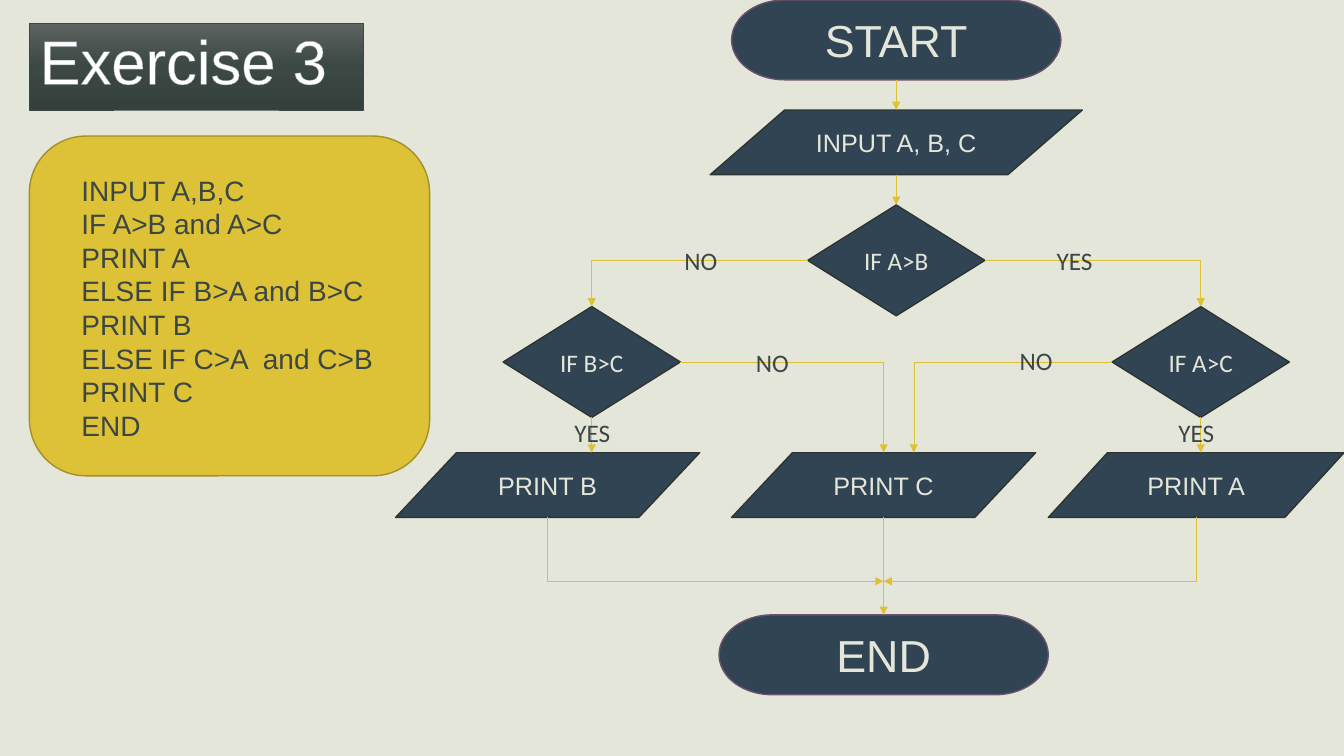
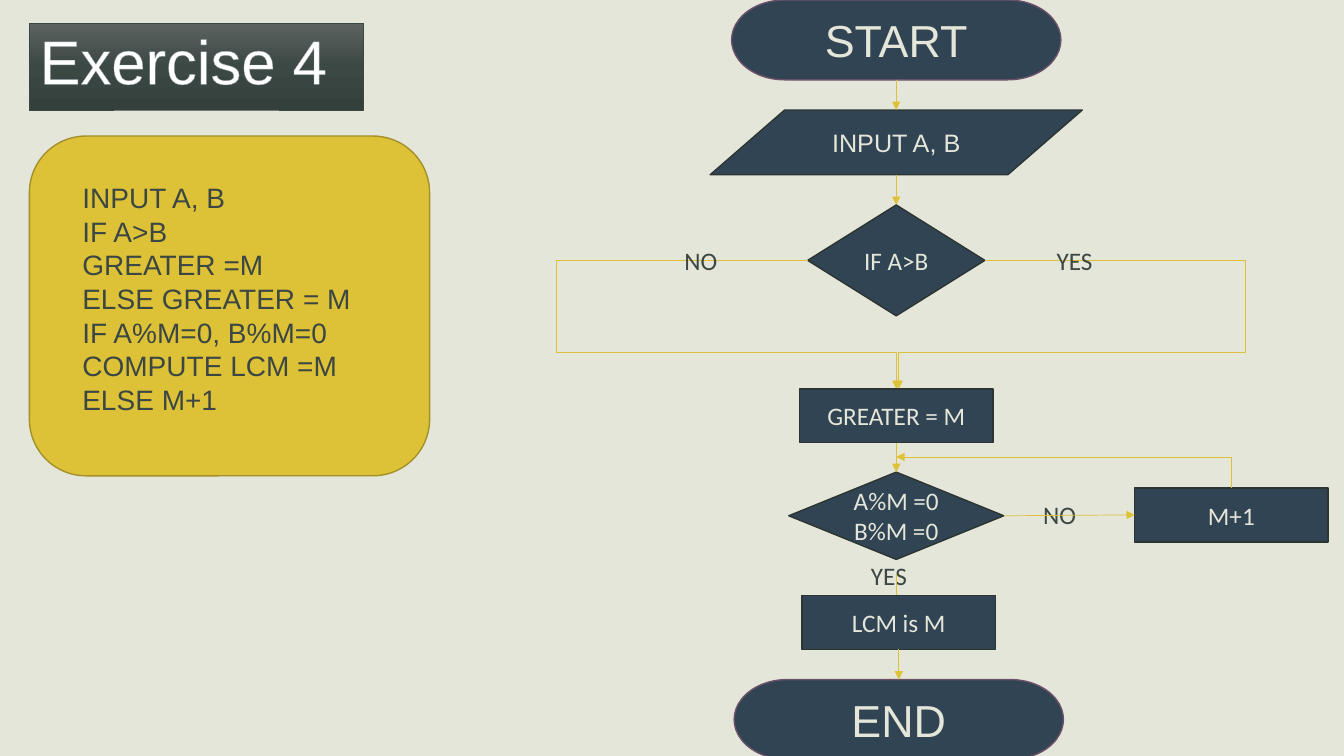
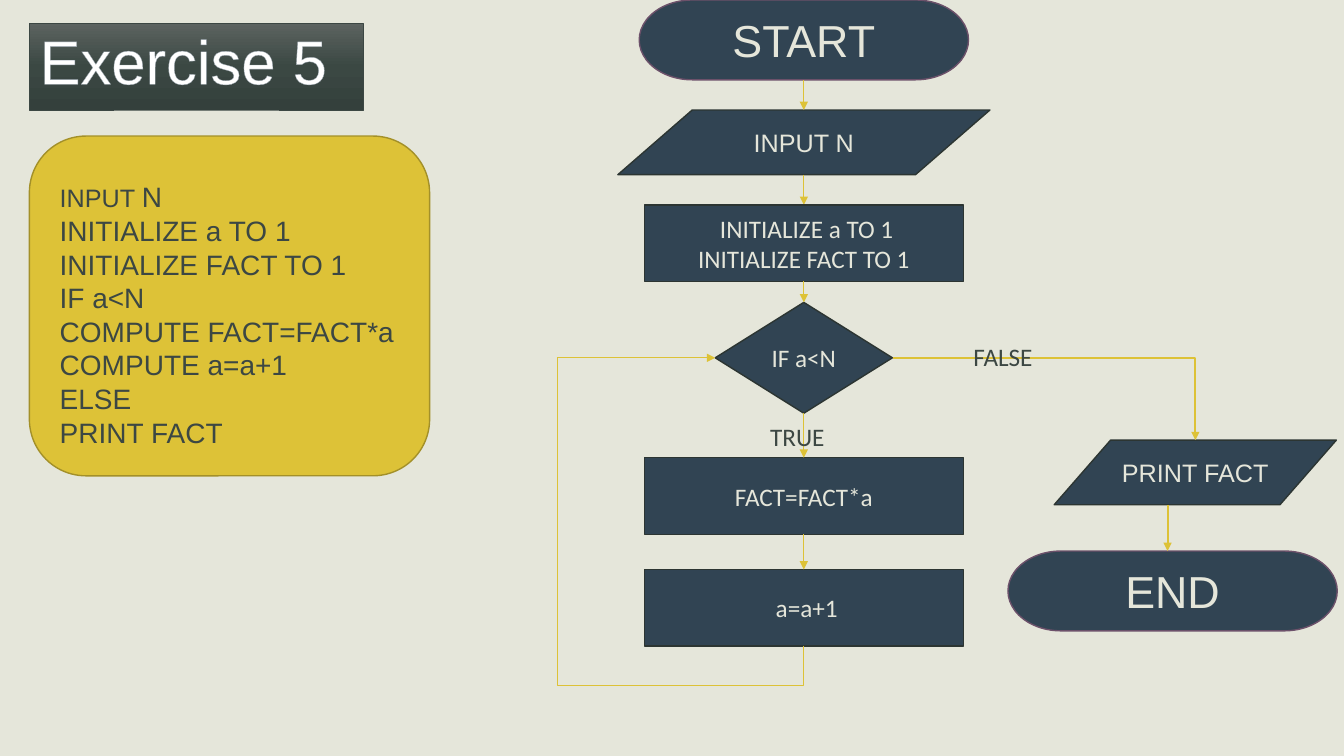
from dataclasses import dataclass

from lxml import etree
from pptx import Presentation, util as u
from pptx.dml.color import RGBColor
from pptx.enum import shapes, text
from pptx.oxml.ns import qn

COLS, ROWS = 160, 90
CELL = u.Inches(7.5) / ROWS
GAP = 3.6

PAPER, INK, NAVY, GOLD = "E5E6DA", "3C4743", "314453", "DDC237"
EDGE, PLUM, OLIVE, WHITE, HALO = "2C3532", "6C516A", "A39029", "FFFFFF", "96A1AA"
TITLE_STOPS = ((0, "5C6360"), (50, "3B4843"), (100, "34403C"))

KIND = shapes.MSO_SHAPE
KINDS = {
    "terminal": (KIND.FLOWCHART_TERMINATOR, 39.2, 9.5, "Arial", 32, PLUM),
    "data": (KIND.FLOWCHART_DATA, 36.2, 7.7, "Arial", 18, EDGE),
    "decision": (KIND.FLOWCHART_DECISION, 21.1, 13.2, "Calibri", 18, EDGE),
    "process": (KIND.FLOWCHART_PROCESS, 23, 6.4, "Calibri", 18, EDGE),
}


def cells(*counts):
    return [u.Emu(round(count * CELL)) for count in counts]


def tint(code):
    return RGBColor.from_string(code)


def add_xml(parent, tag, **attributes):
    return etree.SubElement(parent, qn(tag), attributes)


@dataclass
class Node:
    x: float
    top: float
    width: float
    height: float

    @property
    def left(self):
        return self.x - self.width / 2, self.top + self.height / 2

    @property
    def right(self):
        return self.x + self.width / 2, self.top + self.height / 2

    @property
    def head(self):
        return self.x, self.top

    @property
    def foot(self):
        return self.x, self.top + self.height


class FlowDeck:
    def __init__(self):
        self.deck = Presentation()
        self.deck.slide_width, self.deck.slide_height = cells(COLS, ROWS)
        backdrop = self.deck.slide_master.background.fill
        backdrop.solid()
        backdrop.fore_color.rgb = tint(PAPER)
        self.page = None

    def place(self, box, *area):
        box.left, box.top, box.width, box.height = cells(*area)

    def style(self, box, fill, line):
        box.shadow.inherit = False
        box.fill.solid()
        box.fill.fore_color.rgb = tint(fill)
        box.line.color.rgb = tint(line)
        box.line.width = u.Pt(1)

    def set_lines(self, frame, lines, face, size, colour, align=text.PP_ALIGN.LEFT):
        frame.word_wrap = True
        for index, line in enumerate(lines):
            para = frame.paragraphs[0] if index == 0 else frame.add_paragraph()
            para.alignment = align
            for words, points in [(line, size)] if isinstance(line, str) else line:
                span = para.add_run()
                span.text = words
                span.font.name = face
                span.font.size = u.Pt(points)
                span.font.color.rgb = tint(colour)

    def new_page(self, title, code, code_area):
        self.page = self.deck.slides.add_slide(self.deck.slide_layouts[1])
        self.title(title)
        self.code(code, code_area)

    def title(self, words):
        box = self.page.shapes.title
        self.place(box, 3.5, 2.75, 39.75, 10.35)
        box.fill.gradient()
        box.fill.gradient_angle = 270
        stops = box._element.spPr.find(".//" + qn("a:gsLst"))
        stops.clear()
        for share, code in TITLE_STOPS:
            stop = add_xml(stops, "a:gs", pos=str(share * 1000))
            add_xml(stop, "a:srgbClr", val=code)
        box.line.color.rgb = tint(INK)
        box.line.width = u.Pt(0.5)
        frame = box.text_frame
        frame.vertical_anchor = text.MSO_ANCHOR.TOP
        frame.auto_size = text.MSO_AUTO_SIZE.NONE
        self.set_lines(frame, [words], "Arial", 44, WHITE)
        para = frame.paragraphs[0]
        para.line_spacing = 0.95
        outline = etree.Element(qn("a:ln"), w=str(int(u.Pt(0.8))))
        add_xml(add_xml(outline, "a:solidFill"), "a:srgbClr", val=HALO)
        para.runs[0].font._element.insert(0, outline)

    def code(self, lines, area):
        body = self.page.placeholders[1]
        card = self.page.shapes.add_shape(
            KIND.ROUNDED_RECTANGLE, *cells(3.5, 16.2, 47.65, 40.45))
        self.style(card, GOLD, OLIVE)
        body._element.addprevious(card._element)
        self.place(body, *area)
        frame = body.text_frame
        frame.auto_size = text.MSO_AUTO_SIZE.NONE
        self.set_lines(frame, lines, "Arial", 20, INK)
        for para in frame.paragraphs:
            para.space_before = u.Pt(0)
            props = para._p.get_or_add_pPr()
            props.set("marL", "0")
            props.set("indent", "0")
            add_xml(props, "a:buNone")

    def node(self, kind, lines, x, top, width=None, height=None):
        preset, wide, high, face, size, edge = KINDS[kind]
        spot = Node(x, top, width or wide, height or high)
        box = self.page.shapes.add_shape(
            preset, *cells(spot.left[0], top, spot.width, spot.height))
        self.style(box, NAVY, edge)
        box.text_frame.vertical_anchor = text.MSO_ANCHOR.MIDDLE
        self.set_lines(box.text_frame, lines.split("\n"), face, size, PAPER,
                       text.PP_ALIGN.CENTER)
        return spot

    def label(self, words, left, top, width=8.5):
        box = self.page.shapes.add_textbox(*cells(left, top, width, 4.8))
        self.set_lines(box.text_frame, [words], "Calibri", 18, INK)

    def arrow(self, start, end, weight=0.5, form=shapes.MSO_CONNECTOR.STRAIGHT,
              tip="a:tailEnd"):
        link = self.page.shapes.add_connector(form, *cells(*start, *end))
        link.line.color.rgb = tint(GOLD)
        link.line.width = u.Pt(weight)
        add_xml(link.line._get_or_add_ln(), tip, type="triangle")
        add_xml(link._element.spPr, "a:effectLst")
        return link

    def elbow(self, start, end, weight=0.5, tip="a:tailEnd", via=None):
        link = self.arrow(start, end, weight, shapes.MSO_CONNECTOR.ELBOW, tip)
        shape = link._element.spPr.find(qn("a:prstGeom"))
        shape.set("prst", "bentConnector4" if via else "bentConnector2")
        if via:
            guides = shape.find(qn("a:avLst"))
            if guides is None:
                guides = add_xml(shape, "a:avLst")
            for axis in (0, 1):
                share = (via[axis] - start[axis]) / (end[axis] - start[axis])
                add_xml(guides, "a:gd", name=f"adj{axis + 1}",
                        fmla=f"val {round(share * 100000)}")

    def opening(self, x, words):
        start = self.node("terminal", "START", x, 0)
        entry = self.node("data", words, x, start.foot[1] + GAP, 44.3)
        self.arrow(start.foot, entry.head)
        below = (x, entry.foot[1] + GAP)
        self.arrow(entry.foot, below)
        return below


def largest_of_three(flow):
    flow.new_page("Exercise 3", [
        "INPUT A,B,C", "IF A>B and A>C", "PRINT A", "ELSE IF B>A and B>C",
        "PRINT B", "ELSE IF C>A  and C>B", "PRINT C", "END",
    ], (8.5, 20, 38, 33.5))
    mid, reach, print_top, merge = 106.7, 36.25, 53.9, 69.2
    first = flow.node("decision", "IF A>B", *flow.opening(mid, "INPUT A, B, C"))
    left = flow.node("decision", "IF B>C", mid - reach, 36.5)
    right = flow.node("decision", "IF A>C", mid + reach, 36.5)
    print_b = flow.node("data", "PRINT B", 65.2, print_top)
    print_c = flow.node("data", "PRINT C", 105.2, print_top)
    print_a = flow.node("data", "PRINT A", 142.4, print_top, 35.2)
    end = flow.node("terminal", "END", print_c.x, 73.2)
    flow.elbow(first.right, right.head)
    flow.elbow(first.left, left.head)
    flow.elbow(left.right, print_c.head)
    flow.elbow(right.left, (108.8, print_top))
    for test in (left, right):
        flow.arrow(test.foot, (test.x, print_top))
    flow.arrow(print_c.foot, end.head)
    for outcome in (print_b, print_a):
        flow.elbow((print_c.x, merge), outcome.foot, tip="a:headEnd")
    for words, x, y in (("YES", 124.6, 28.6), ("YES", 67.2, 49.1),
                        ("YES", 139.1, 49.1), ("NO", 80.3, 28.6),
                        ("NO", 88.8, 40.7), ("NO", 120.2, 40.5)):
        flow.label(words, x, y)


def common_multiple(flow):
    flow.new_page("Exercise 4", [
        "INPUT A, B", "IF A>B", "GREATER =M", "ELSE GREATER = M",
        "IF A%M=0, B%M=0", "COMPUTE LCM =M", "ELSE M+1",
    ], (8.6, 20.9, 37, 40.4))
    mid, bend, back = 106.7, 41.9, 54.4
    first = flow.node("decision", "IF A>B", *flow.opening(mid, "INPUT A, B"))
    flow.elbow(first.right, (107, 46.3), via=(148.2, bend))
    flow.elbow(first.left, (mid, 46.3), via=(66.2, bend))
    greater = flow.node("process", "GREATER = M", mid, 46.3)
    test = flow.node("decision", "A%M =0\nB%M =0", mid, 56.2, 25.6, 10.4)
    step = flow.node("process", "M+1", 146.6, 58.1)
    for words, x, y in (("YES", 124.6, 28.6), ("NO", 80.3, 28.6),
                        ("NO", 123, 58.9), ("YES", 102.5, 66.1)):
        flow.label(words, x, y)
    flow.arrow((mid, 68.3), (mid, 76.1))
    result = flow.node("process", "LCM is M", 107, 70.9)
    end = flow.node("terminal", "END", 107, 80.9)
    flow.arrow(result.foot, end.head)
    flow.arrow(greater.foot, test.head)
    flow.arrow(test.right, step.left)
    flow.elbow((mid, back), step.head, tip="a:headEnd")


def factorial(flow):
    flow.new_page("Exercise 5", [
        [("INPUT ", 18), ("N", 20)], "INITIALIZE a TO 1",
        "INITIALIZE FACT TO 1", "IF a<N", "COMPUTE FACT=FACT*a",
        "COMPUTE a=a+1", "ELSE", "PRINT FACT",
    ], (5.9, 20.8, 42.8, 33.5))
    mid, block = 95.7, (38, 9.1)
    setup = flow.node("process", " INITIALIZE a TO 1\nINITIALIZE FACT TO 1",
                      *flow.opening(mid, "INPUT N"), *block)
    test = flow.node("decision", "IF a<N", mid, 36)
    multiply = flow.node("process", "FACT=FACT*a", mid, 54.5, *block)
    count = flow.node("process", " a=a+1", mid, 67.8, *block)
    end = flow.node("terminal", "END", 139.6, 65.6)
    result = flow.node("data", "PRINT FACT", 142.3, 52.4, 33.6)
    for upper, lower in ((setup, test), (test, multiply), (multiply, count)):
        flow.arrow(upper.foot, lower.head)
    flow.elbow(test.right, result.head, 1.5)
    flow.elbow(test.left, count.foot, tip="a:headEnd", via=(66.4, 81.6))
    flow.arrow((139, result.foot[1]), (139, end.top), 1.5)
    flow.label("FALSE", 114.7, 40.1, 10.8)
    flow.label("TRUE", 90.5, 49.6, 10.8)


def main():
    flow = FlowDeck()
    largest_of_three(flow)
    common_multiple(flow)
    factorial(flow)
    flow.deck.save("out.pptx")


if __name__ == "__main__":
    main()
